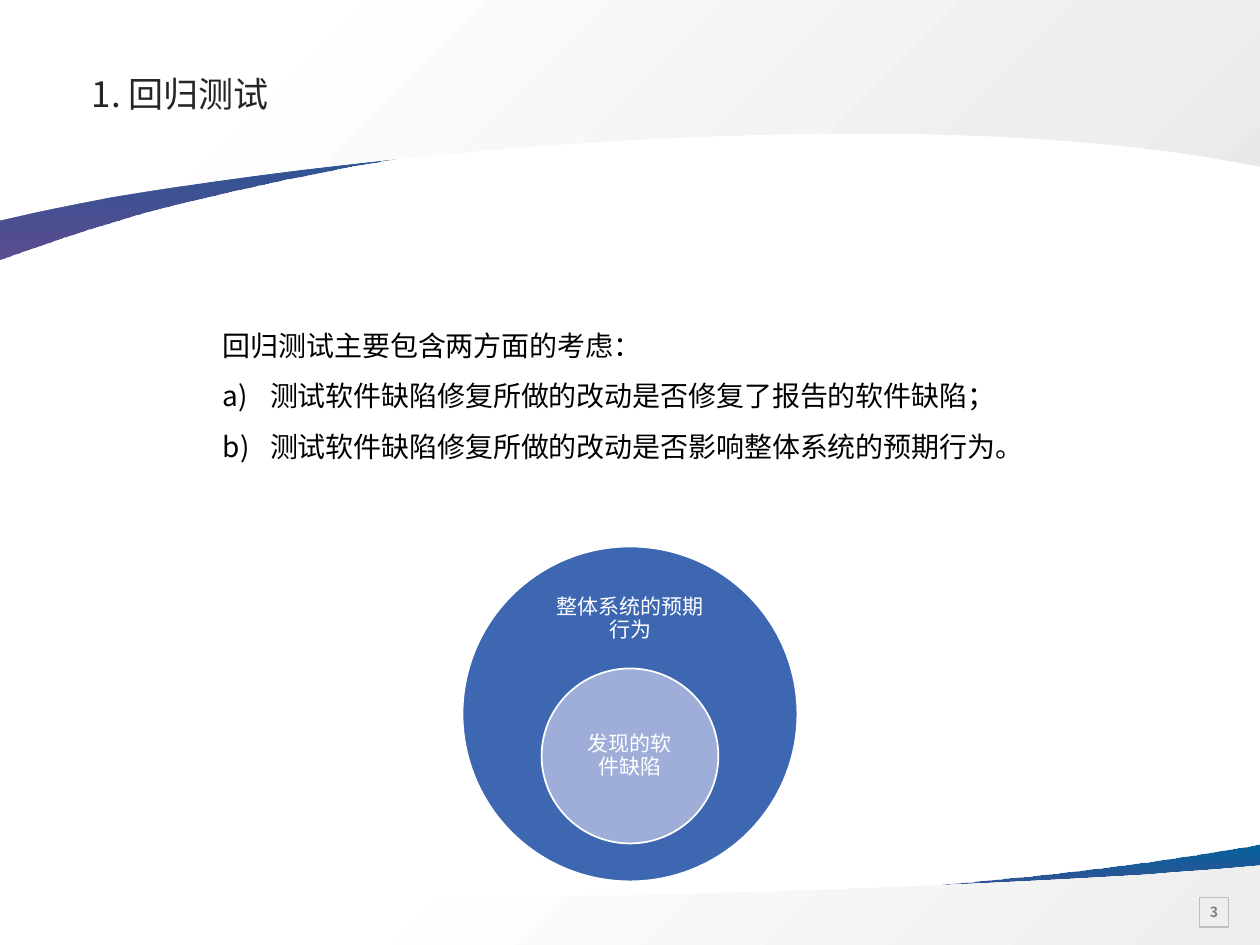
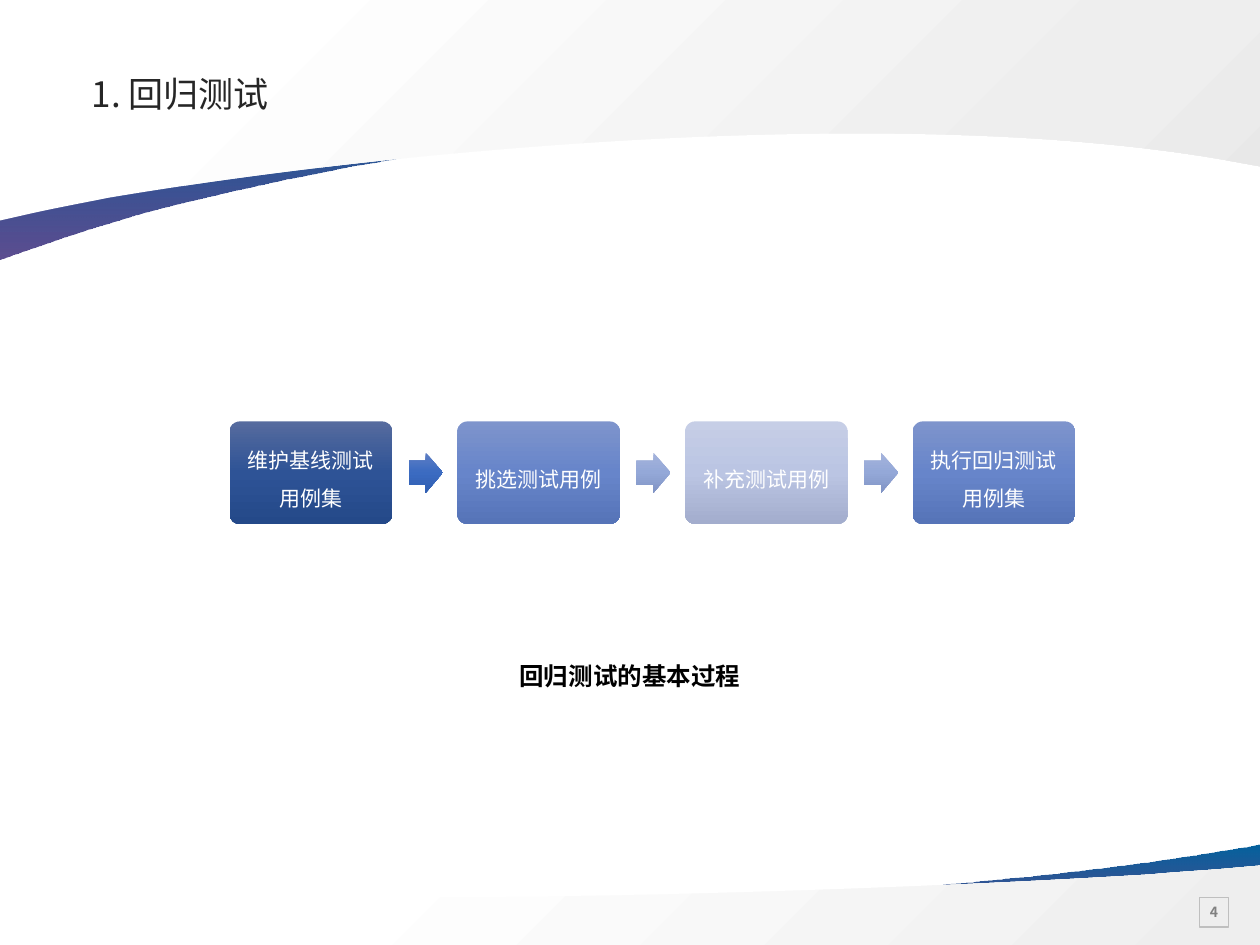
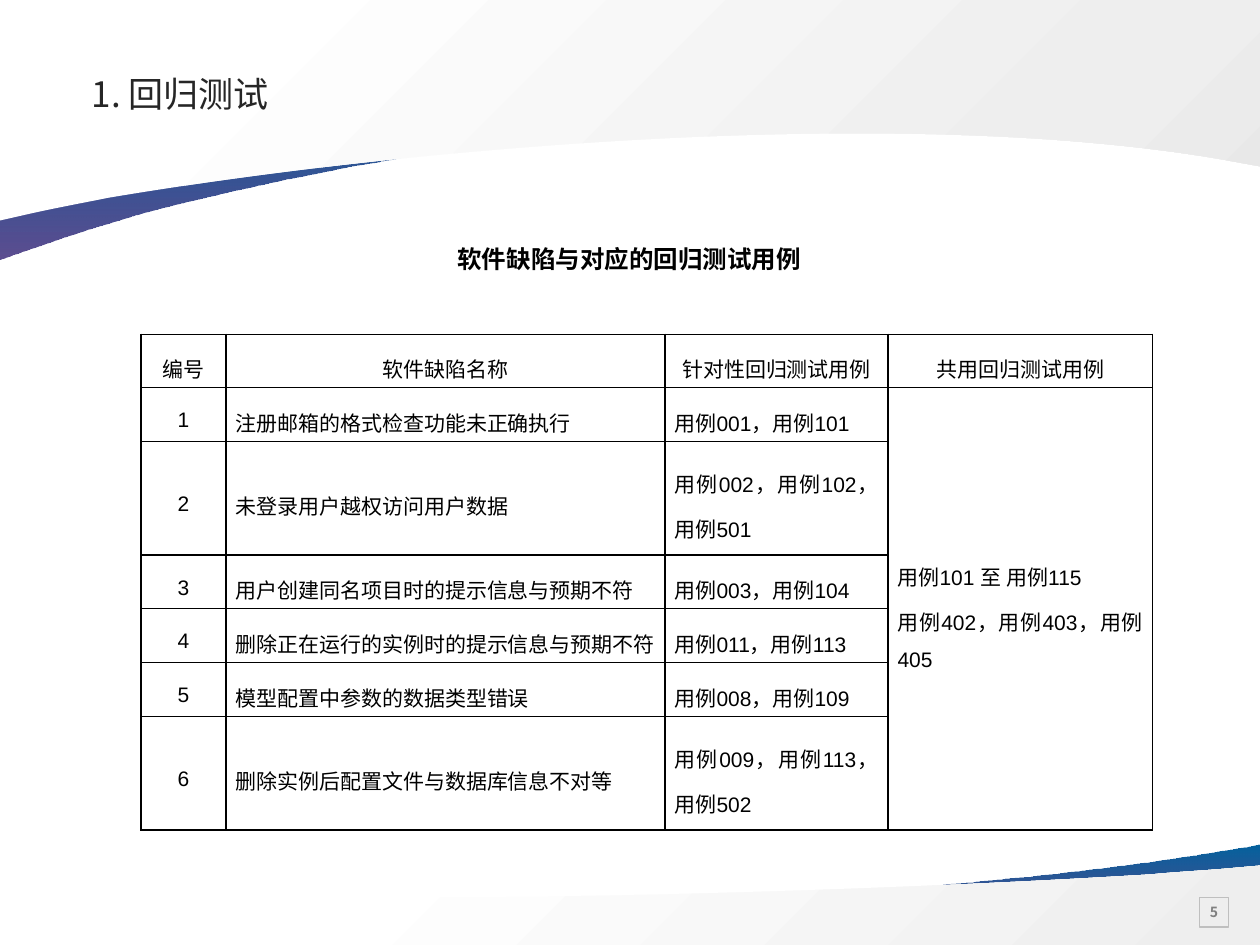
from lxml.etree import SubElement
from pptx import Presentation
from pptx.dml.color import RGBColor
from pptx.enum.shapes import MSO_SHAPE
from pptx.enum.text import MSO_ANCHOR, PP_ALIGN
from pptx.oxml.ns import qn
from pptx.util import Pt

CJK_FONT = "Noto Sans CJK SC"
BLACK, WHITE = "000000", "FFFFFF"
TITLE = "1. 回归测试"
FIRST_NUMBER = 3

RIBBON_STOPS = [(0, "04619D", 100), (100, "342275", 80)]
BANDS = [
    ([(720, 482.4), (720, 529.2), (0, 529.2), (0, 509.76), (0.72, 509.76),
      (162.72, 533.52, 442.8, 516.24, 604.08, 498.96),
      (636.48, 495.36, 673.2, 490.32, 712.08, 483.84)], RIBBON_STOPS, 90),
    ([(720, 494.64), (720, 540), (0, 540), (0, 506.16), (23.76, 507.6),
      (211.68, 519.12, 491.76, 509.76, 658.08, 499.68),
      (672.48, 498.24, 688.32, 497.52, 704.16, 496.08)],
     [(26, WHITE, 100), (100, "EEEEEE", 100)], 45),
    ([(0, 148.32), (0, 47.52), (720, 47.52), (720, 89.28), (719.28, 88.56),
      (557.28, 38.16, 277.2, 74.16, 115.92, 113.04),
      (83.52, 120.24, 46.8, 131.76, 7.92, 145.44)], RIBBON_STOPS, 90),
    ([(0, 126), (0, 0), (720, 0), (720, 95.04), (696.24, 90.72),
      (508.32, 59.04, 228.24, 84.96, 61.92, 113.04),
      (47.52, 115.92, 31.68, 118.8, 15.84, 122.4)],
     [(17, WHITE, 100), (81, "EEEEEE", 100), (100, "E8E8E8", 100)], 45),
]

NAVY = ["566B9E", "2E5396", "244989"]
BLUE = ["7E94CC", "6785CA", "5674B8"]
PALE = ["C6CEE6", "BBC5E3", "A3ADCD"]
ARROW_DARK = ["5E7EC4", "3B6BC1", "2F5EB1"]
ARROW_LIGHT = ["A4B3DB", "94A8D8", "8093C4"]


def color(value):
    return RGBColor.from_string(value)


def even_stops(values):
    return [(50 * index, value, 100) for index, value in enumerate(values)]


class SlideBuilder:
    def __init__(self):
        self.deck = Presentation()
        self.deck.slide_width, self.deck.slide_height = Pt(720), Pt(540)
        self.page = None

    def start(self, layout_index):
        self.page = self.deck.slides.add_slide(self.deck.slide_layouts[layout_index])
        if len(self.deck.slides) == 1:
            self.master_bands()
        title = self.page.shapes.title
        self.place(title, 46.8, 33.8, 558.7, 41.8)
        self.text(title, [TITLE], 20, "262626", line=0.9, align=PP_ALIGN.LEFT,
                  insets=(5.6, 5.8, 0, 5.8))
        number = self.shape(MSO_SHAPE.RECTANGLE, 685.4, 512.8, 16.8, 17, line="BFBFBF",
                            line_width=0.75)
        self.text(number, [str(FIRST_NUMBER + len(self.deck.slides) - 1)], 8, "808080",
                  bold=True, insets=(0, 0, 0, 0))

    def master_bands(self):
        tree = self.deck.slide_master.shapes._spTree
        for index, (segments, stops, angle) in enumerate(BANDS):
            band = self.curved_outline(segments)
            self.style(band)
            self.gradient(band, stops, angle)
            tree.insert(2 + index, band._element)

    def curved_outline(self, segments):
        corners = [(Pt(segment[-2]), Pt(segment[-1])) for segment in segments]
        builder = self.page.shapes.build_freeform(*corners[0])
        builder.add_line_segments(corners[1:], close=True)
        outline = builder.convert_to_shape()
        lines = list(outline._element.iter(qn("a:lnTo")))
        for segment, line in zip(segments[1:], lines):
            if len(segment) == 6:
                line.tag = qn("a:cubicBezTo")
                line.remove(line[0])
                for x, y in zip(segment[::2], segment[1::2]):
                    SubElement(line, qn("a:pt"), x=str(Pt(x) - outline.left),
                               y=str(Pt(y) - outline.top))
        return outline

    def place(self, box, left, top, width, height):
        box.left, box.top, box.width, box.height = Pt(left), Pt(top), Pt(width), Pt(height)

    def style(self, shape, fill=None, line=None, line_width=1):
        shape.shadow.inherit = False
        if fill:
            shape.fill.solid()
            shape.fill.fore_color.rgb = color(fill)
        else:
            shape.fill.background()
        if line:
            shape.line.color.rgb = color(line)
            shape.line.width = Pt(line_width)
        else:
            shape.line.fill.background()

    def gradient(self, shape, stops, angle=90):
        shape.fill.gradient()
        shape.fill.gradient_angle = 360 - angle
        stop_list = shape._element.spPr.find(qn("a:gradFill")).find(qn("a:gsLst"))
        for stop in list(stop_list):
            stop_list.remove(stop)
        for position, value, opacity in stops:
            stop = SubElement(stop_list, qn("a:gs"), pos=str(position * 1000))
            tint = SubElement(stop, qn("a:srgbClr"), val=value)
            if opacity < 100:
                SubElement(tint, qn("a:alpha"), val=str(opacity * 1000))

    def shape(self, kind, left, top, width, height, adjustments=(), **style):
        shape = self.page.shapes.add_shape(kind, Pt(left), Pt(top), Pt(width), Pt(height))
        for index, value in enumerate(adjustments):
            shape.adjustments[index] = value
        self.style(shape, **style)
        return shape

    def label(self, left, top, width, height, lines, size, value, **options):
        box = self.page.shapes.add_textbox(Pt(left), Pt(top), Pt(width), Pt(height))
        self.text(box, lines, size, value, **options)

    def text(self, box, lines, size, value, anchor=MSO_ANCHOR.MIDDLE,
             insets=(7.2, 3.6, 7.2, 3.6), **options):
        frame = box.text_frame
        frame.word_wrap = True
        frame.vertical_anchor = anchor
        (frame.margin_left, frame.margin_top,
         frame.margin_right, frame.margin_bottom) = [Pt(inset) for inset in insets]
        self.paragraphs(frame, lines, size, value, **options)

    def paragraphs(self, frame, lines, size, value, font=CJK_FONT, bold=False,
                   align=PP_ALIGN.CENTER, line=1.0, after=0, numbered_from=None):
        frame.text = "\n".join(lines)
        for index, para in enumerate(frame.paragraphs):
            para.alignment = align
            para.line_spacing = line
            para.space_before, para.space_after = Pt(0), Pt(after)
            if numbered_from is not None:
                self.numbering(para, index >= numbered_from)
            para.font.name = font
            para.font.size = Pt(size)
            para.font.bold = bold
            para.font.color.rgb = color(value)
            SubElement(para._p.pPr.find(qn("a:defRPr")), qn("a:ea"), typeface=CJK_FONT)

    def numbering(self, para, numbered):
        properties = para._p.get_or_add_pPr()
        indent = Pt(27) if numbered else 0
        properties.set("marL", str(indent))
        properties.set("indent", str(-indent))
        if numbered:
            SubElement(properties, qn("a:buAutoNum"), type="alphaLcParenR")
        else:
            SubElement(properties, qn("a:buNone"))

    def body(self, left, top, width, height, lines, size, **options):
        box = self.page.placeholders[1]
        self.place(box, left, top, width, height)
        self.text(box, lines, size, BLACK, anchor=MSO_ANCHOR.TOP,
                  align=PP_ALIGN.LEFT, **options)

    def table(self, left, top, widths, heights, rows):
        frame = self.page.shapes.add_table(len(heights), len(widths), Pt(left), Pt(top),
                                           Pt(sum(widths)), Pt(sum(heights)))
        table = frame.table
        table.first_row = table.horz_banding = False
        for column, width in zip(table.columns, widths):
            column.width = Pt(width)
        for row, height in zip(table.rows, heights):
            row.height = Pt(height)
        for row_index in range(len(heights)):
            for column_index in range(len(widths)):
                self.cell_style(table.cell(row_index, column_index))
        for row_index, values in enumerate(rows):
            for column_index, value in enumerate(values):
                centred = row_index == 0 or column_index == 0
                self.paragraphs(table.cell(row_index, column_index).text_frame,
                                value.split("\n"), 12, BLACK, font="Arial", line=1.5,
                                align=PP_ALIGN.CENTER if centred else PP_ALIGN.JUSTIFY)
        return table

    def cell_style(self, cell):
        cell.margin_left = cell.margin_right = Pt(5.4)
        cell.margin_top = cell.margin_bottom = Pt(0)
        cell.vertical_anchor = MSO_ANCHOR.MIDDLE
        properties = cell._tc.get_or_add_tcPr()
        for side in ("lnL", "lnR", "lnT", "lnB"):
            border = SubElement(properties, qn(f"a:{side}"), w=str(Pt(1)))
            SubElement(SubElement(border, qn("a:solidFill")), qn("a:srgbClr"), val=BLACK)
        cell.fill.background()


def considerations(builder):
    builder.start(1)
    builder.body(120.1, 174.6, 519, 95, [
        "回归测试主要包含两方面的考虑：",
        "测试软件缺陷修复所做的改动是否修复了报告的软件缺陷；",
        "测试软件缺陷修复所做的改动是否影响整体系统的预期行为。",
    ], 16, font="Calibri", line=1.5, numbered_from=1)
    label_style = dict(font="Calibri", line=0.9, after=4.2)
    builder.shape(MSO_SHAPE.OVAL, 264.3, 312.3, 191.4, 191.4, fill="3E67B2", line=WHITE)
    builder.label(309.6, 326.9, 101, 32.4, ["整体系统的预期行为"], 12, WHITE,
                  insets=(6.5, 28, 6.5, 6.5), **label_style)
    defect = builder.shape(MSO_SHAPE.OVAL, 309.5, 382, 101, 100, fill="9FAED8", line=WHITE)
    builder.text(defect, ["发现的软件缺陷"], 12, WHITE, insets=(6.5,) * 4, **label_style)


def process(builder):
    builder.start(5)
    steps = [("维护基线测试用例集", NAVY, ARROW_DARK), ("挑选测试用例", BLUE, ARROW_LIGHT),
             ("补充测试用例", PALE, ARROW_LIGHT), ("执行回归测试用例集", BLUE, None)]
    for index, (name, step_colors, arrow_colors) in enumerate(steps):
        left = 131.2 + 130.1 * index
        step = builder.shape(MSO_SHAPE.ROUNDED_RECTANGLE, left, 240.8, 93, 58.6, [0.1])
        builder.gradient(step, even_stops(step_colors))
        builder.text(step, [name], 12, WHITE, line=1.5, after=4.2, insets=(5.4,) * 4)
        if arrow_colors:
            arrow = builder.shape(MSO_SHAPE.RIGHT_ARROW, left + 102.3, 258.6, 19.6, 23,
                                  [0.6, 0.5])
            builder.gradient(arrow, even_stops(arrow_colors))
    builder.label(287.3, 365.8, 145.4, 30.2, ["回归测试的基本过程"], 14, BLACK, bold=True,
                  line=1.5, after=6, anchor=MSO_ANCHOR.TOP)


def defect_cases(builder):
    builder.start(5)
    rows = [
        ("编号", "软件缺陷名称", "针对性回归测试用例", "共用回归测试用例"),
        ("1", "注册邮箱的格式检查功能未正确执行", "用例001，用例101",
         "用例101 至 用例115\n用例402，用例403，用例405"),
        ("2", "未登录用户越权访问用户数据", "用例002，用例102，用例501"),
        ("3", "用户创建同名项目时的提示信息与预期不符", "用例003，用例104"),
        ("4", "删除正在运行的实例时的提示信息与预期不符", "用例011，用例113"),
        ("5", "模型配置中参数的数据类型错误", "用例008，用例109"),
        ("6", "删除实例后配置文件与数据库信息不对等", "用例009，用例113，用例502"),
    ]
    table = builder.table(80.6, 191, [48.5, 251, 127.5, 151],
                          [30.5, 30.8, 64.8, 30.8, 30.8, 30.8, 64.8], rows)
    table.cell(1, 3).merge(table.cell(6, 3))
    builder.label(225.4, 135.4, 268.6, 24.5, ["软件缺陷与对应的回归测试用例"], 14, BLACK,
                  font="Arial", bold=True)


def main():
    builder = SlideBuilder()
    considerations(builder)
    process(builder)
    defect_cases(builder)
    builder.deck.save("out.pptx")


if __name__ == "__main__":
    main()
